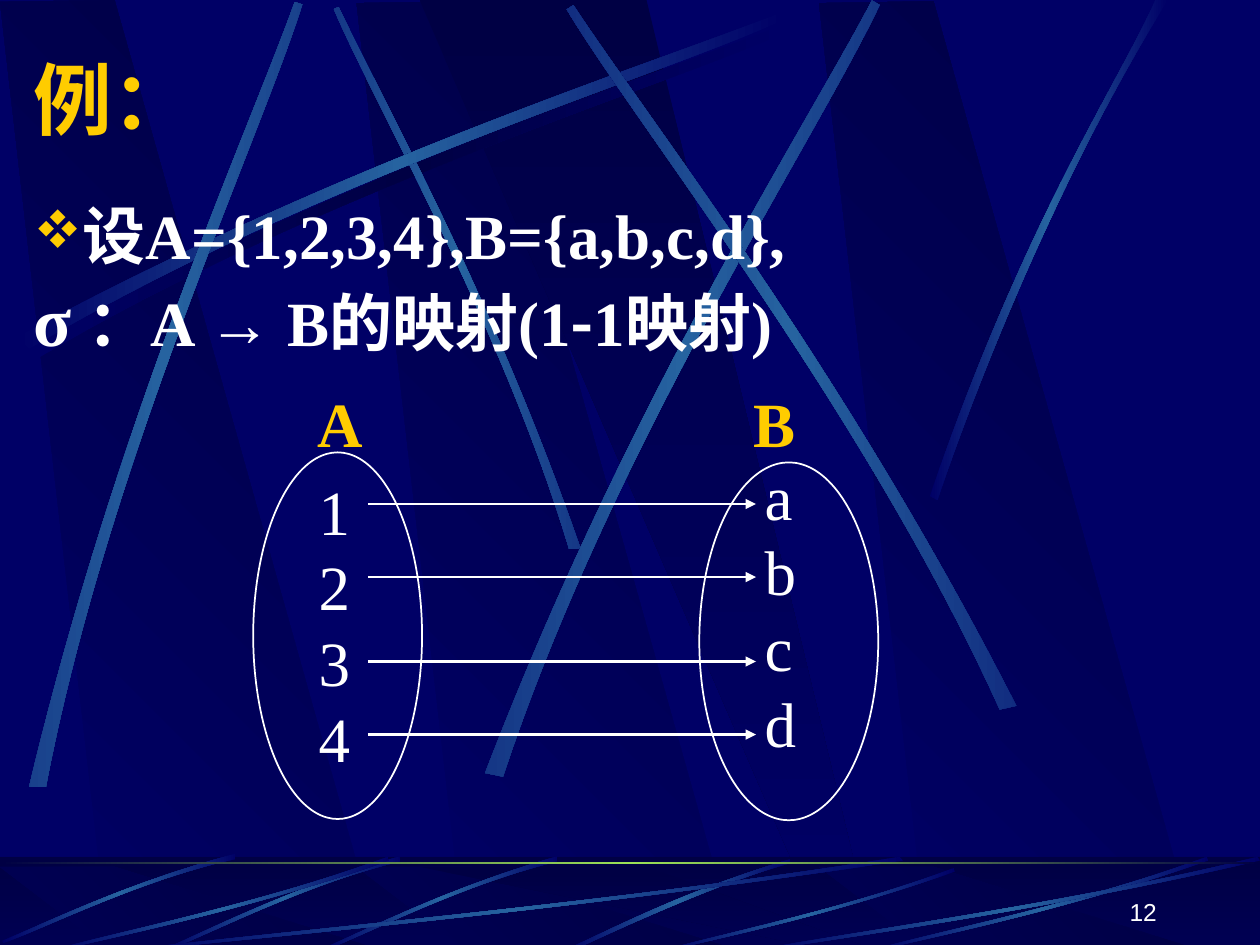
from dataclasses import dataclass

from lxml import etree
from pptx import Presentation
from pptx.dml.color import RGBColor
from pptx.enum.shapes import MSO_CONNECTOR, MSO_SHAPE
from pptx.enum.text import MSO_ANCHOR, PP_ALIGN
from pptx.oxml import parse_xml
from pptx.oxml.ns import nsdecls, qn
from pptx.util import Inches, Pt


@dataclass(frozen=True)
class Theme:
    navy: str = "000066"
    night: str = "000044"
    steel: str = "2663A0"
    lime: str = "9CE157"
    gold: str = "FFCC00"
    white: str = "FFFFFF"
    title_size: float = 45
    sigma_size: float = 40
    body_size: float = 36
    number_size: float = 14
    serif: str = "Times New Roman"
    chinese: str = "Noto Sans CJK SC"


theme = Theme()
presentation = Presentation()
presentation.slide_width, presentation.slide_height = Inches(10), Inches(7.5)
slide = presentation.slides.add_slide(presentation.slide_layouts[6])
slide.background.fill.solid()
slide.background.fill.fore_color.rgb = RGBColor.from_string(theme.navy)
shapes = slide.shapes


def paint(shape, colors, angle):
    """Fill a borderless shape with evenly spaced gradient colours."""
    shape.shadow.inherit = False
    shape.line.fill.background()
    shape.fill.background()
    stops = "".join(
        f'<a:gs pos="{100000 * i // (len(colors) - 1)}"><a:srgbClr val="{color}"/></a:gs>'
        for i, color in enumerate(colors))
    gradient = parse_xml(
        f'<a:gradFill rotWithShape="0" {nsdecls("a")}><a:gsLst>{stops}</a:gsLst>'
        f'<a:lin ang="{angle * 60000}" scaled="1"/></a:gradFill>')
    properties = shape.element.spPr
    properties.replace(properties.find(qn("a:noFill")), gradient)


def draw_outline(percent_points, frame, colors, angle, rotation=0):
    """Stretch an outline over a frame in inches; eight points make a streak of two curves."""
    left, top, width, height = frame
    points = [(Inches(left + x * width / 100), Inches(top + y * height / 100))
              for x, y in percent_points]
    builder = shapes.build_freeform(*points[0])
    builder.add_line_segments(points[1:], close=True)
    outline = builder.convert_to_shape()
    outline.rotation = rotation
    if len(points) == 8:
        segments = list(outline.element.spPr.iter(qn("a:lnTo")))
        for controls in (segments[:3], segments[4:7]):
            curve = etree.Element(qn("a:cubicBezTo"))
            controls[0].addprevious(curve)
            for control in controls:
                curve.append(control[0])
                control.getparent().remove(control)
    paint(outline, colors, angle)


# Each streak is two cubic curves: out along one edge, back along the other
streaks = {
    "branch": [(0, 96.3), (43.4, 43.1), (82.9, 15.4), (99.6, 0),
               (100, 2.2), (83.6, 19.1), (38.3, 49.8), (1.5, 100)],
    "stem": [(0, 99.2), (40.2, 43.6), (79.4, 16.6), (94.7, 0),
             (100, 0), (51.9, 36.5), (16.4, 81.1), (3.2, 100)],
    "blade": [(99.4, 0), (49.4, 37), (16.1, 82.2), (0, 98.6),
              (2.8, 100), (23.3, 76.7), (68.3, 24.7), (100, 4.1)],
    "sweep": [(100, 4), (56.8, 57.3), (17.3, 85.3), (0.5, 100),
              (0, 98.7), (16.5, 81.3), (61.5, 50.7), (99.5, 0)],
}
streaks["mirrored"] = [(100 - x, y) for x, y in streaks["branch"]]

beam = [(28.5, 99.7), (100, 100), (30.1, 0), (0, 0.2)]
wedge = [(0, 0), (90, 100), (100, 100), (49.9, 0)]
glow = (theme.navy, theme.steel, theme.navy)
shade = (theme.navy, theme.night, theme.navy)

# Upper background
for left, top in ((2.83, 0.01), (0, 0), (6.5, 0.01)):
    draw_outline(beam, (left, top, 3.02, 7.52), (theme.navy, theme.night), 315)
draw_outline(wedge, (3.33, 0, 3.61, 7.51), (theme.night, theme.navy), 90)
draw_outline(streaks["branch"], (0.2, 0.18, 6.08, 2.67), shade, 0)
for profile, frame, rotation in (
        ("mirrored", (1.41, 1.35, 4.42, 1.75), 45),
        ("branch", (0.14, 0.1, 6.08, 2.67), 0),
        ("branch", (-1.71, 1.82, 6.08, 2.67), 311.7),
        ("branch", (2.31, 1.6, 6.24, 3.01), 321.6),
        ("mirrored", (3.23, 1.52, 6.08, 2.67), 34.7),
        ("stem", (7.38, 0, 1.89, 3.97), 0)):
    draw_outline(streaks[profile], frame, glow, 0, rotation)

# Footer band
band_box = [Inches(n) for n in (0, 6.8, 10, 0.75)]
paint(shapes.add_shape(MSO_SHAPE.RECTANGLE, *band_box), (theme.night, theme.navy), 90)
for left in (2.83, 0, 6.5):
    draw_outline(beam, (left, 6.88, 3.02, 0.66), (theme.navy, theme.night), 315)
draw_outline(wedge, (3.33, 6.88, 3.61, 0.66), (theme.night, theme.navy), 90)
veil = shapes.add_shape(MSO_SHAPE.RECTANGLE, *band_box)
veil.shadow.inherit = False
veil.line.fill.background()
veil.fill.solid()
veil.fill.fore_color.rgb = RGBColor.from_string(theme.night)
veil_color = veil.element.spPr.find(qn("a:solidFill"))[0]
etree.SubElement(veil_color, qn("a:alpha"), val="50000")
draw_outline(streaks["blade"], (4.48, 6.82, 1.8, 0.73), glow, 0)
for frame in ((2.58, 6.76, 1.84, 0.83), (1.33, 6.76, 1.84, 0.83), (0.05, 6.71, 1.8, 0.85)):
    draw_outline(streaks["mirrored"], frame, glow, 0, 315)
for left, top, width in ((1, 6.8, 6.17), (0.42, 6.8, 2.67), (5.27, 6.89, 2.31),
                         (6.92, 6.8, 2.67), (6, 6.8, 4)):
    draw_outline(streaks["sweep"], (left, top, width, 7.55 - top), glow, 0)
footer_rule = shapes.add_shape(
    MSO_SHAPE.RECTANGLE, Inches(0), Inches(6.84), Inches(10), Inches(0.02))
paint(footer_rule, (theme.night, theme.lime, theme.night), 0)

# Definition
definition = shapes.add_textbox(Inches(0.17), Inches(1.58), Inches(9.67), Inches(1.5)).text_frame
definition.word_wrap = True
sets, mapping = definition.paragraphs[0], definition.add_paragraph()
for paragraph, pieces in (
        (sets, [("设A={1,2,3,4},B={a,b,c,d},", theme.body_size, theme.serif)]),
        (mapping, [("σ", theme.sigma_size, theme.serif),
                   (" ：A → B的映射(1", theme.body_size, theme.serif),
                   ("-", theme.body_size, theme.chinese),
                   ("1", theme.body_size, theme.serif),
                   ("映射", theme.body_size, theme.chinese),
                   (")", theme.body_size, theme.serif)])):
    paragraph.alignment = PP_ALIGN.JUSTIFY
    paragraph.line_spacing = 0.9
    paragraph.space_before = Pt(7.2)
    paragraph.font.bold = True
    paragraph.font.color.rgb = RGBColor.from_string(theme.white)
    for words, size, typeface in pieces:
        run = paragraph.add_run()
        run.text, run.font.size, run.font.name = words, Pt(size), typeface
# The letter v is the four-diamond bullet ❖ in Wingdings
bullet_owner = sets._p.get_or_add_pPr()
bullet_xml = (f'<a:buClr {nsdecls("a")}><a:srgbClr val="{theme.gold}"/></a:buClr>',
              f'<a:buSzPct {nsdecls("a")} val="85000"/>',
              f'<a:buFont {nsdecls("a")} typeface="Wingdings" pitchFamily="2" charset="2"/>',
              f'<a:buChar {nsdecls("a")} char="v"/>')
before_font = bullet_owner.index(bullet_owner.find(qn("a:defRPr")))
for offset, xml in enumerate(bullet_xml):
    bullet_owner.insert(before_font + offset, parse_xml(xml))

# Title, set members, set names and slide number
label_pitch = Pt(43.2)
for lines, box, size, typeface, color, bold, anchor, align, wrap, pitch in (
        (["例："], (0.17, 0.35, 8.5, 0.86), theme.title_size, "Montserrat", theme.gold, True,
         MSO_ANCHOR.MIDDLE, PP_ALIGN.LEFT, True, None),
        ("1234", (2.43, 3.7, 0.45, 2.5), theme.body_size, theme.serif, theme.white, False,
         MSO_ANCHOR.TOP, PP_ALIGN.LEFT, False, label_pitch),
        ("abcd", (5.97, 3.58, 0.45, 2.5), theme.body_size, theme.serif, theme.white, False,
         MSO_ANCHOR.TOP, PP_ALIGN.LEFT, False, label_pitch),
        ("A", (2.42, 3, 0.56, 0.7), theme.body_size, theme.serif, theme.gold, True,
         MSO_ANCHOR.TOP, PP_ALIGN.LEFT, False, label_pitch),
        ("B", (5.88, 3, 0.53, 0.7), theme.body_size, theme.serif, theme.gold, True,
         MSO_ANCHOR.TOP, PP_ALIGN.LEFT, False, label_pitch),
        (["12"], (7.2, 6.9, 2.08, 0.5), theme.number_size, "Arial", theme.white, False,
         MSO_ANCHOR.BOTTOM, PP_ALIGN.RIGHT, True, None)):
    frame = shapes.add_textbox(*[Inches(n) for n in box]).text_frame
    frame.word_wrap, frame.vertical_anchor = wrap, anchor
    frame.text = "\n".join(lines)
    for paragraph in frame.paragraphs:
        paragraph.alignment, paragraph.line_spacing = align, pitch
        font = paragraph.font
        font.size, font.name, font.bold = Pt(size), typeface, bold
        font.color.rgb = RGBColor.from_string(color)

# Mapping arrows and set outlines
for y in (4, 4.58, 5.25, 5.83):
    arrow = shapes.add_connector(
        MSO_CONNECTOR.STRAIGHT, Inches(2.92), Inches(y), Inches(6), Inches(y))
    arrow.line.width = Pt(1.5)
    arrow.line.color.rgb = RGBColor.from_string(theme.white)
    etree.SubElement(arrow.line._get_or_add_ln(), qn("a:tailEnd"), type="triangle")
    etree.SubElement(arrow.element.spPr, qn("a:effectLst"))
for box in ((2.01, 3.59, 1.34, 2.91), (5.55, 3.67, 1.42, 2.84)):
    set_outline = shapes.add_shape(MSO_SHAPE.OVAL, *[Inches(n) for n in box])
    set_outline.shadow.inherit = False
    set_outline.fill.background()
    set_outline.line.width = Pt(1)
    set_outline.line.color.rgb = RGBColor.from_string(theme.white)

presentation.save("out.pptx")
